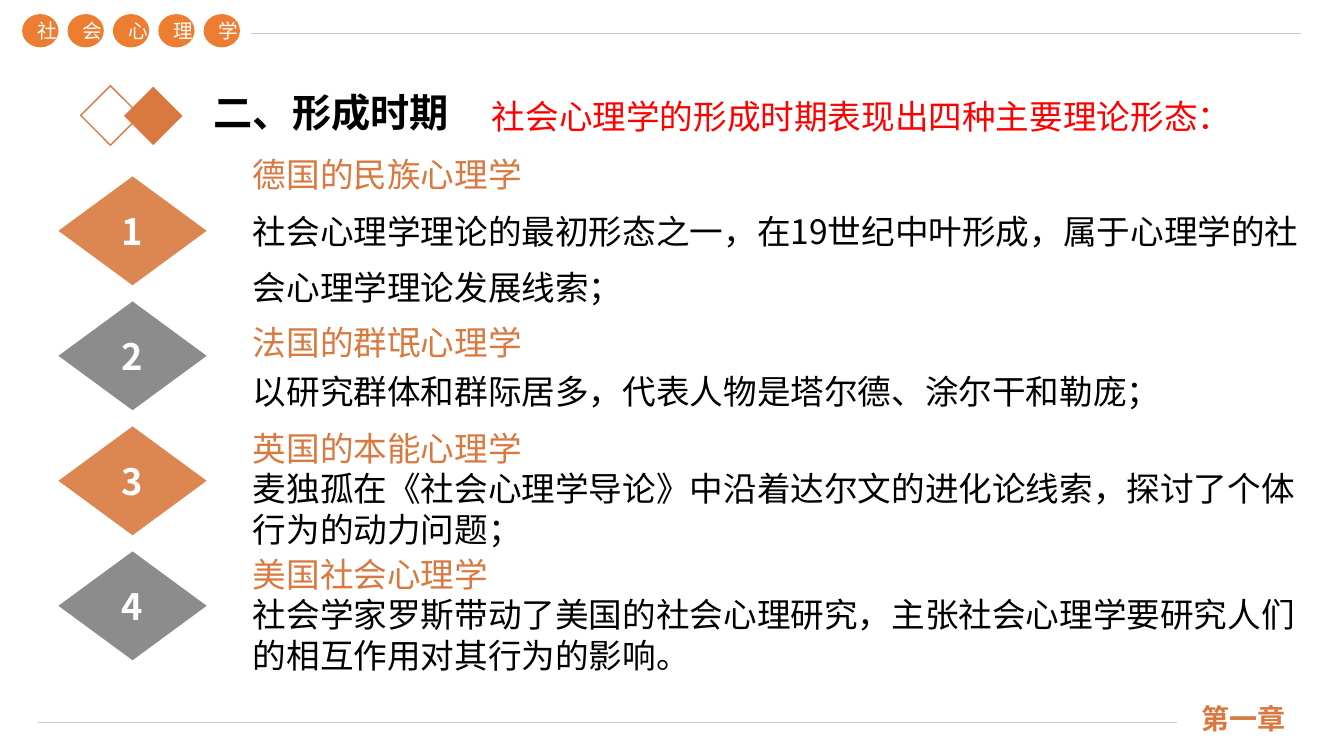
from dataclasses import dataclass

from lxml import etree
from pptx import Presentation
from pptx.dml.color import RGBColor
from pptx.enum.shapes import MSO_CONNECTOR, MSO_SHAPE
from pptx.enum.text import MSO_ANCHOR, MSO_AUTO_SIZE, PP_ALIGN
from pptx.oxml.ns import qn
from pptx.util import Inches, Pt

TOP, MIDDLE, BOTTOM = MSO_ANCHOR.TOP, MSO_ANCHOR.MIDDLE, MSO_ANCHOR.BOTTOM
LEFT, CENTER = PP_ALIGN.LEFT, PP_ALIGN.CENTER
ELLIPSE, DIAMOND = MSO_SHAPE.OVAL, MSO_SHAPE.DIAMOND
STRAIGHT = MSO_CONNECTOR.STRAIGHT
FIT_SHAPE = MSO_AUTO_SIZE.SHAPE_TO_FIT_TEXT
TITLE_ONLY = 5


@dataclass(frozen=True)
class Theme:
    font: str = "Noto Sans CJK SC"
    footer_font: str = "Noto Sans CJK JP"
    accent: str = "D9793F"
    badge: str = "ED7D31"
    gray: str = "808080"
    rule: str = "C9C9C9"
    black: str = "000000"
    white: str = "FFFFFF"
    red: str = "FF0000"
    title_size: float = 28
    number_size: float = 25.9
    body_size: float = 24
    footer_size: float = 20
    badge_size: float = 14


class SlideBuilder:
    def __init__(self, slide, theme):
        self.slide = slide
        self.theme = theme

    def format(self, paragraph, size, color, bold=False, align=LEFT,
               spacing=1.0, font=None):
        paragraph.alignment = align
        paragraph.line_spacing = spacing
        name = font or self.theme.font
        for run in paragraph.runs:
            run.font.size = Pt(size)
            run.font.bold = bold
            run.font.name = name
            run.font.color.rgb = RGBColor.from_string(color)
            latin = run.font._element.find(qn("a:latin"))
            east_asian = etree.Element(qn("a:ea"), typeface=name)
            latin.addnext(east_asian)

    def rule(self, left, right, y):
        line = self.slide.shapes.add_connector(
            STRAIGHT, Inches(left), Inches(y), Inches(right), Inches(y))
        line.line.color.rgb = RGBColor.from_string(self.theme.rule)
        line.line.width = Pt(1)
        etree.SubElement(line._element.spPr, qn("a:effectLst"))

    def shape(self, kind, box, fill=None, outline=None, opacity=100):
        shape = self.slide.shapes.add_shape(kind, *map(Inches, box))
        shape.shadow.inherit = False
        if fill:
            shape.fill.solid()
            shape.fill.fore_color.rgb = RGBColor.from_string(fill)
            if opacity < 100:
                color = shape._element.spPr.find(".//" + qn("a:srgbClr"))
                etree.SubElement(color, qn("a:alpha"), val=str(opacity * 1000))
        else:
            shape.fill.background()
        if outline:
            shape.line.color.rgb = RGBColor.from_string(outline)
            shape.line.width = Pt(1)
        else:
            shape.line.fill.background()
        return shape

    def label(self, shape, text, size, bold=False):
        shape.text_frame.text = text
        shape.text_frame.vertical_anchor = MIDDLE
        self.format(shape.text_frame.paragraphs[0], size, self.theme.white,
                    bold, CENTER)

    def text(self, box, lines, anchor=TOP):
        """Add a text box; lines holds pairs of text and format options."""
        frame = self.slide.shapes.add_textbox(*map(Inches, box)).text_frame
        frame.word_wrap = True
        frame.vertical_anchor = anchor
        frame.text = "\n".join(text for text, _ in lines)
        for paragraph, (_, options) in zip(frame.paragraphs, lines):
            self.format(paragraph, **options)
        return frame

    def title(self, box, text):
        title = self.slide.shapes.title
        title.left, title.top, title.width, title.height = map(Inches, box)
        frame = title.text_frame
        frame.text = text
        frame.word_wrap = False
        frame.auto_size = FIT_SHAPE
        frame.vertical_anchor = TOP
        self.format(frame.paragraphs[0], self.theme.title_size,
                    self.theme.black, bold=True)


# top, height, width, heading spacing, body spacing, heading, body
THEORIES = [
    (1.69, 1.04, 10.6, 1.4, 1.4, "德国的民族心理学",
     "社会心理学理论的最初形态之一，在19世纪中叶形成，属于心理学的社会心理学理论发展线索；"),
    (3.1, 0.91, 10.6, 1.4, 1.2, "法国的群氓心理学",
     "以研究群体和群际居多，代表人物是塔尔德、涂尔干和勒庞；"),
    (4.31, 0.91, 10.76, 1.4, 1.0, "英国的本能心理学",
     "麦独孤在《社会心理学导论》中沿着达尔文的进化论线索，探讨了个体行为的动力问题；"),
    (5.64, 0.91, 10.6, 1.0, 1.0, "美国社会心理学",
     "社会学家罗斯带动了美国的社会心理研究，主张社会心理学要研究人们的相互作用对其行为的影响。"),
]


def main():
    presentation = Presentation()
    presentation.slide_width = Inches(13.33)
    presentation.slide_height = Inches(7.5)
    slide = presentation.slides.add_slide(
        presentation.slide_layouts[TITLE_ONLY])
    theme = Theme()
    builder = SlideBuilder(slide, theme)

    builder.rule(0.38, 11.67, 7.17)
    builder.rule(2.49, 12.9, 0.33)
    builder.text((11.82, 6.94, 1.45, 0.4), [
        ("第一章", dict(size=theme.footer_size, color=theme.accent, bold=True,
                     font=theme.footer_font))], BOTTOM)

    for index, character in enumerate("社会心理学"):
        badge = builder.shape(
            ELLIPSE, (0.22 + 0.45 * index, 0.14, 0.36, 0.33), theme.badge)
        builder.label(badge, character, theme.badge_size)

    builder.shape(DIAMOND, (1.23, 0.86, 0.58, 0.58), theme.accent)
    builder.shape(DIAMOND, (0.8, 0.85, 0.59, 0.59), outline=theme.accent)
    builder.title((2.02, 0.83, 2.56, 0.57), "二、形成时期")
    subtitle = builder.text((4.78, 0.7, 7.23, 0.71), [
        ("社会心理学的形成时期表现出四种主要理论形态：",
         dict(size=theme.body_size, color=theme.red, spacing=1.5))])
    subtitle.auto_size = FIT_SHAPE

    for index, theory in enumerate(THEORIES):
        top, height, width, heading_spacing, body_spacing, heading, body = theory
        number = builder.shape(
            DIAMOND, (0.58, 1.75 + 1.24 * index, 1.47, 1.08),
            theme.gray if index % 2 else theme.accent, opacity=90)
        builder.label(number, str(index + 1), theme.number_size, bold=True)
        builder.text((2.41, top, width, height), [
            (heading, dict(size=theme.body_size, color=theme.accent,
                           spacing=heading_spacing)),
            (body, dict(size=theme.body_size, color=theme.black,
                        spacing=body_spacing))], MIDDLE)

    presentation.save("out.pptx")


if __name__ == "__main__":
    main()
